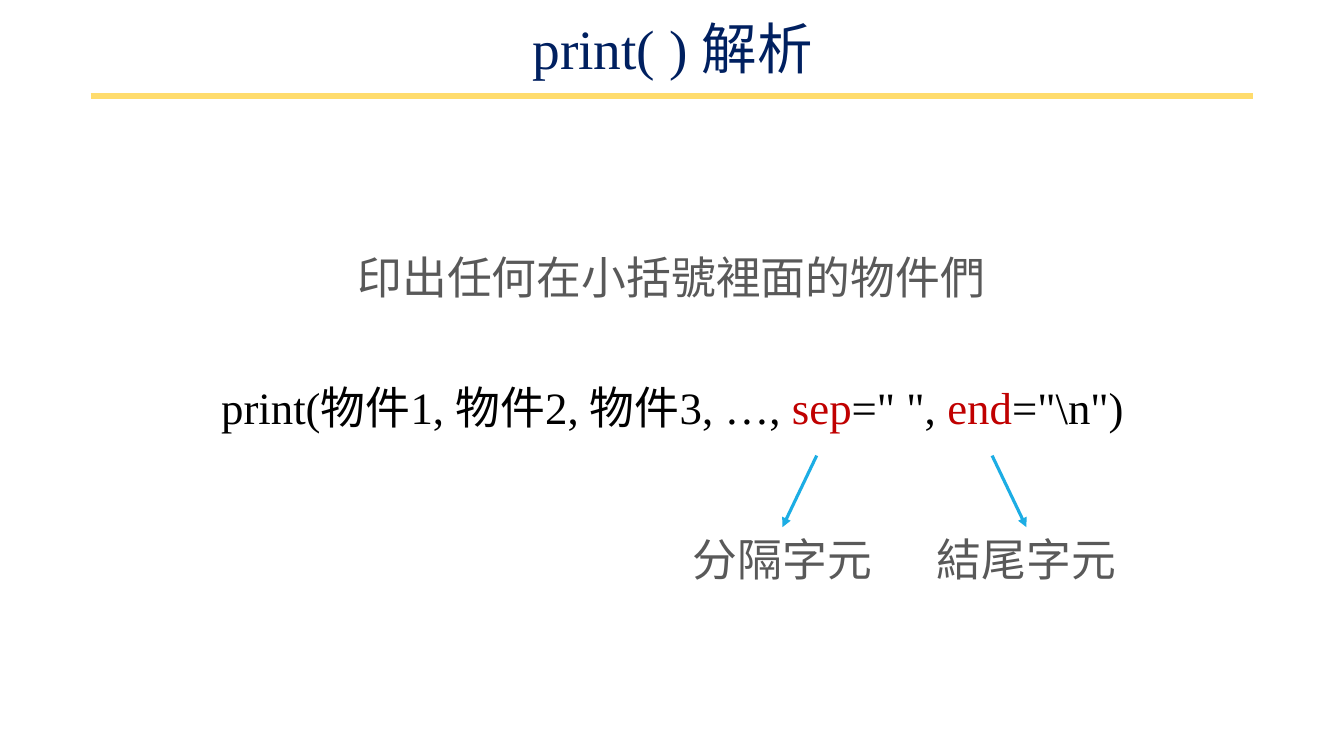
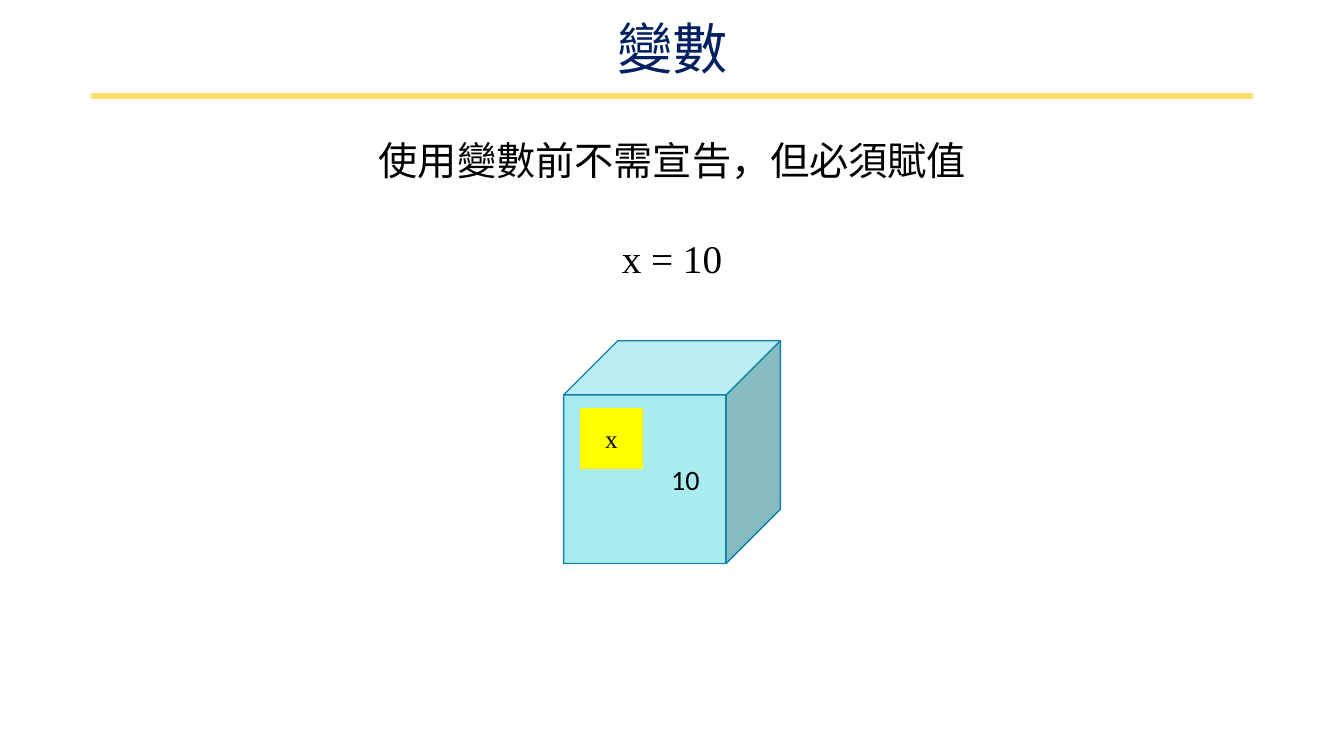
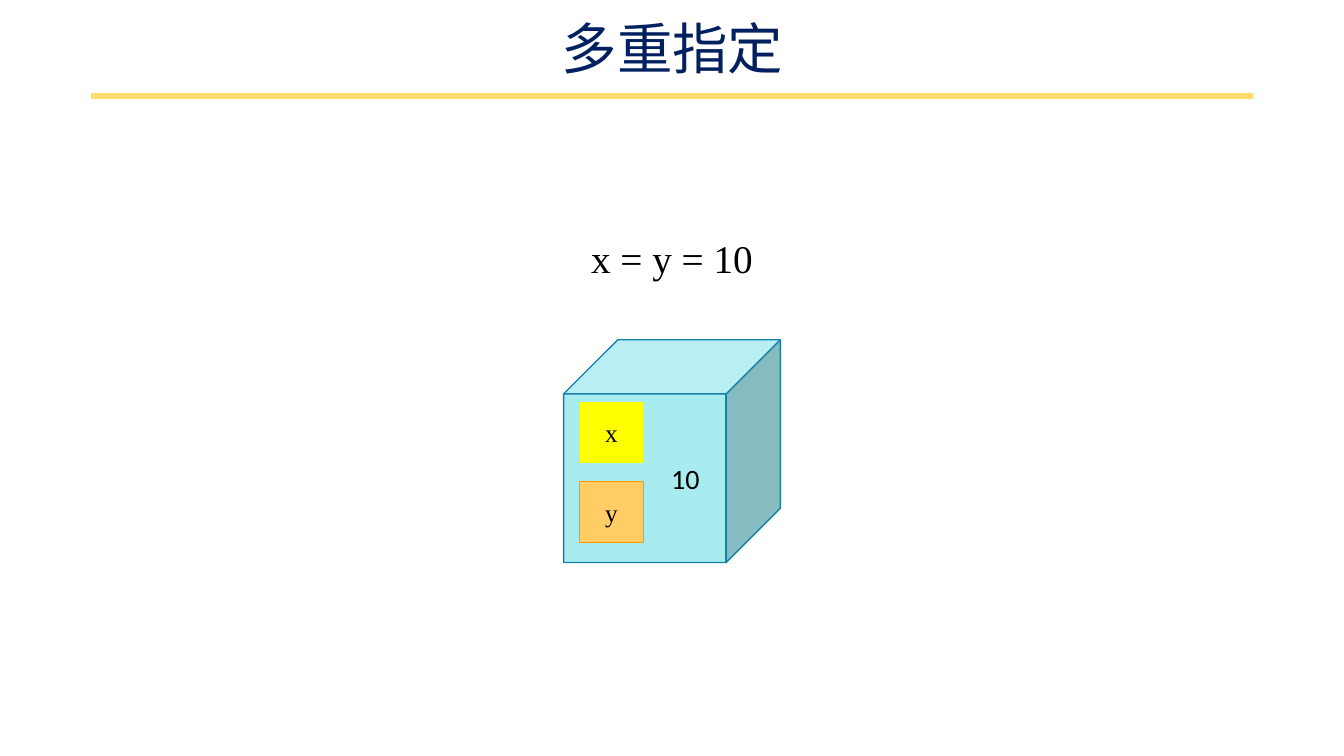
from lxml import etree
from pptx import Presentation
from pptx.dml.color import RGBColor
from pptx.enum.shapes import MSO_CONNECTOR as CONNECTOR, MSO_SHAPE as SHAPE
from pptx.enum.text import MSO_ANCHOR as ANCHOR, MSO_AUTO_SIZE as AUTO_SIZE, PP_ALIGN as ALIGN
from pptx.oxml.ns import qn
from pptx.util import Inches, Pt

# Shared style
SERIF, SANS = "Times New Roman", "Calibri"
NAVY, GOLD, BLACK, GRAY, RED = "002060", "FFDC6D", "000000", "595959", "C00000"
SKY, AQUA, TEAL = "1CADE4", "A8ECEF", "1580A9"
YELLOW, PEACH, ORANGE = "FFFF00", "FFCC66", "FF9900"


def color(hex_code):
    return RGBColor.from_string(hex_code)


def set_font(font, size, hex_code, name=SERIF):
    font.size, font.name = Pt(size), name
    font.color.rgb = color(hex_code)


def add_text(slide, left, top, width, height, parts, size, hex_code=BLACK, wrap=True):
    """One centred line; parts are (text, colour or None for the line's own)."""
    box = slide.shapes.add_textbox(Inches(left), Inches(top), Inches(width), Inches(height))
    frame = box.text_frame
    frame.word_wrap = wrap
    frame.auto_size = AUTO_SIZE.SHAPE_TO_FIT_TEXT
    line = frame.paragraphs[0]
    line.alignment = ALIGN.CENTER
    set_font(line.font, size, hex_code)
    for text, accent in parts:
        run = line.add_run()
        run.text = text
        if accent:
            run.font.color.rgb = color(accent)
    return frame


def add_line(slide, start, end, hex_code, width, arrow=False):
    line = slide.shapes.add_connector(CONNECTOR.STRAIGHT, *map(Inches, start + end))
    line.line.color.rgb = color(hex_code)
    line.line.width = Pt(width)
    properties = line._element.spPr
    if arrow:
        etree.SubElement(properties.find(qn("a:ln")), qn("a:tailEnd"), type="triangle")
    etree.SubElement(properties, qn("a:effectLst"))


def add_block(slide, kind, left, top, width, height, text, size, fill, outline=None, font=SERIF):
    block = slide.shapes.add_shape(kind, Inches(left), Inches(top), Inches(width), Inches(height))
    block.shadow.inherit = False
    block.fill.solid()
    block.fill.fore_color.rgb = color(fill)
    if outline:
        block.line.color.rgb = color(outline)
        block.line.width = Pt(1)
    else:
        block.line.fill.background()
    frame = block.text_frame
    frame.text = text
    frame.vertical_anchor = ANCHOR.MIDDLE
    frame.paragraphs[0].alignment = ALIGN.CENTER
    set_font(frame.paragraphs[0].font, size, BLACK, font)
    return frame


def add_titled_slide(deck, title):
    slide = deck.slides.add_slide(deck.slide_layouts[6])
    add_line(slide, (0.9, 0.95), (12.43, 0.95), GOLD, 4.5)
    frame = add_text(slide, 0.92, 0.18, 11.5, 0.66, [(title, None)], 39.6, NAVY)
    frame.auto_size = AUTO_SIZE.NONE
    frame.vertical_anchor = ANCHOR.MIDDLE
    frame.paragraphs[0].line_spacing = 0.9
    return slide


def add_variable_box(slide, statement, cube_top, tags):
    """The statement, and a cube holding 10 with a tag for each variable."""
    add_text(slide, 5.7, 2.28, 1.93, 0.57, [(statement, None)], 28)
    value = add_block(slide, SHAPE.CUBE, 5.59, cube_top, 2.15, 2.21, "10", 20, AQUA, TEAL, SANS)
    value.margin_left = Inches(0.9)
    for name, top, fill, outline in tags:
        add_block(slide, SHAPE.FLOWCHART_PROCESS, 5.75, top, 0.63, 0.6, name, 18, fill, outline)


def build_print(deck):
    slide = add_titled_slide(deck, "print( ) 解析")
    add_text(slide, 3.42, 2.43, 6.48, 0.64, [("印出任何在小括號裡面的物件們", None)], 32, GRAY, wrap=False)
    call = [("print(物件1, 物件2, 物件3, …, ", None), ("sep", RED), ('=" ", ', None),
            ("end", RED), ('="\\n")', None)]
    add_text(slide, 1.08, 3.72, 11.18, 0.64, call, 32)
    # Each arrow runs from a parameter to the middle of its label
    for label, center, arrow_start in (("分隔字元", 7.76, 8.1), ("結尾字元", 10.18, 9.84)):
        add_text(slide, center - 1, 5.23, 2, 0.64, [(label, None)], 32, GRAY, wrap=False)
        add_line(slide, (arrow_start, 4.52), (center, 5.23), SKY, 2.25, arrow=True)


def build_variable(deck):
    slide = add_titled_slide(deck, "變數")
    add_text(slide, 1.57, 1.3, 10.2, 0.57, [("使用變數前不需宣告，但必須賦值", None)], 28)
    add_variable_box(slide, "x = 10", 3.38, [("x", 4.05, YELLOW, None)])


def build_multiple_assignment(deck):
    slide = add_titled_slide(deck, "多重指定")
    add_variable_box(slide, "x = y = 10", 3.37,
                     [("x", 3.99, YELLOW, None), ("y", 4.78, PEACH, ORANGE)])


def main():
    deck = Presentation()
    deck.slide_width, deck.slide_height = Inches(13.33), Inches(7.5)
    build_print(deck)
    build_variable(deck)
    build_multiple_assignment(deck)
    deck.save("out.pptx")


if __name__ == "__main__":
    main()
